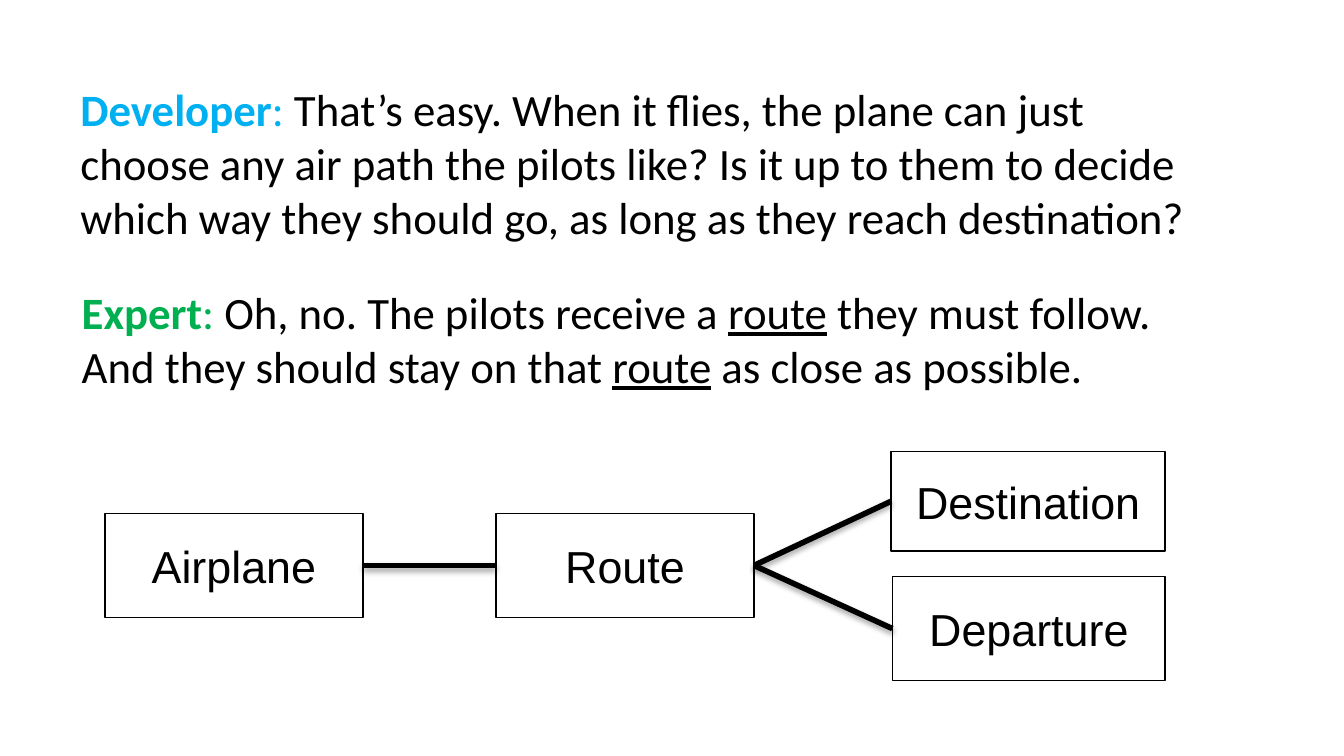
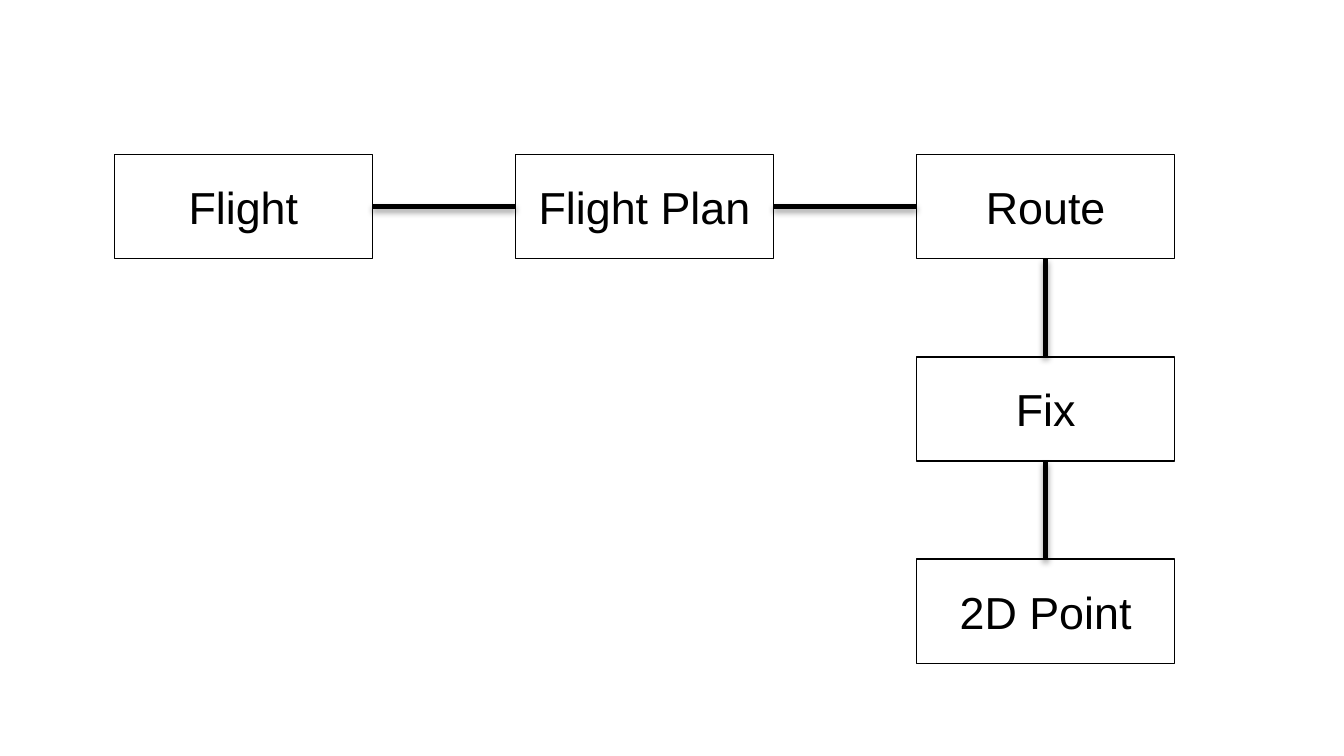
"""Builds two slides that model a flight domain as linked boxes."""
from lxml import etree
from pptx import Presentation, util as u
from pptx.dml.color import RGBColor
from pptx.enum import shapes, text
from pptx.oxml import ns

INK, BLUE, GREEN = "000000", "00B0F0", "00B050"
TOP, LEFT, BASE, RIGHT = range(4)
SHADE = (
    f'<a:effectLst {ns.nsdecls("a")}>'
    '<a:outerShdw blurRad="40000" dist="23000" dir="5400000" rotWithShape="0">'
    f'<a:srgbClr val="{INK}"><a:alpha val="35000"/></a:srgbClr>'
    '</a:outerShdw></a:effectLst>'
)


def hue(code):
    return RGBColor.from_string(code)


def write(para, words, font="Arial", size=24, color=INK, bold=False, under=False):
    run = para.add_run()
    run.text = words
    run.font.name, run.font.size = font, u.Pt(size)
    run.font.color.rgb = hue(color)
    run.font.bold, run.font.underline = bold, under


deck = Presentation()
deck.slide_width, deck.slide_height = u.Inches(10), u.Inches(5.625)
cell = deck.slide_width // 100
wide, high = 19.2, 7.75

route = ("route", {"under": True})
talk = [
    ("Developer", BLUE, (5, 5.6, 91.7, 13.1), True, [
        [("That’s easy. When it flies, the plane can just", {})],
        [("choose any air path the pilots like? Is it up to them to decide", {})],
        [("which way they should go, as long as they reach destination? ", {})],
    ]),
    ("Expert", GREEN, (5.1, 20.7, 87.3, 9.1), False, [
        [("Oh, no. The pilots receive a ", {}), route,
         (" ", {"bold": True}), ("they must follow.", {})],
        [("And they should stay on that ", {}), route,
         (" ", {"bold": True}), ("as close as possible. ", {})],
    ]),
]

first, step, drop = 8.5, 29.85, 15.05
row = 11.5
last = first + 2 * step
pages = [
    (talk, {
        "Airplane": (7.8, 38.2, wide, high),
        "Route": (36.9, 38.2, wide, high),
        "Destination": (66.3, 33.6, 20.4, 7.4),
        "Departure": (66.4, 42.9, 20.3, high),
    }, [
        ("Airplane", RIGHT, "Route", LEFT),
        ("Route", RIGHT, "Destination", LEFT),
        ("Route", RIGHT, "Departure", LEFT),
    ]),
    ([], {
        "Flight": (first, row, wide, high),
        "Flight Plan": (first + step, row, wide, high),
        "Route": (last, row, wide, high),
        "Fix": (last, row + drop, wide, high),
        "2D Point": (last, row + 2 * drop, wide, high),
    }, [
        ("Flight", RIGHT, "Flight Plan", LEFT),
        ("Flight Plan", RIGHT, "Route", LEFT),
        ("Route", BASE, "Fix", TOP),
        ("Fix", BASE, "2D Point", TOP),
    ]),
]

for lines, boxes, links in pages:
    slide = deck.slides.add_slide(deck.slide_layouts[6])

    for who, color, area, wrap, body in lines:
        frame = slide.shapes.add_textbox(*[int(n * cell) for n in area]).text_frame
        frame.word_wrap = wrap
        frame.auto_size = text.MSO_AUTO_SIZE.SHAPE_TO_FIT_TEXT
        for i, parts in enumerate(body):
            para = frame.add_paragraph() if i else frame.paragraphs[0]
            if i == 0:
                write(para, who, font="Calibri", color=color, bold=True)
                write(para, ": ", font="Calibri", color=color)
            for words, style in parts:
                write(para, words, font="Calibri", **style)

    nodes = {}
    for name, area in boxes.items():
        box = slide.shapes.add_shape(
            shapes.MSO_SHAPE.RECTANGLE, *[int(n * cell) for n in area])
        box.shadow.inherit = False
        box.fill.background()
        box.line.color.rgb, box.line.width = hue(INK), u.Pt(0.75)
        box.text_frame.vertical_anchor = text.MSO_ANCHOR.MIDDLE
        para = box.text_frame.paragraphs[0]
        para.alignment = text.PP_ALIGN.CENTER
        write(para, name)
        nodes[name] = box

    for start, out, end, into in links:
        link = slide.shapes.add_connector(shapes.MSO_CONNECTOR.STRAIGHT, 0, 0, 0, 0)
        link.begin_connect(nodes[start], out)
        link.end_connect(nodes[end], into)
        link.line.color.rgb, link.line.width = hue(INK), u.Pt(3)
        link._element.spPr.append(etree.fromstring(SHADE))

deck.save("out.pptx")
